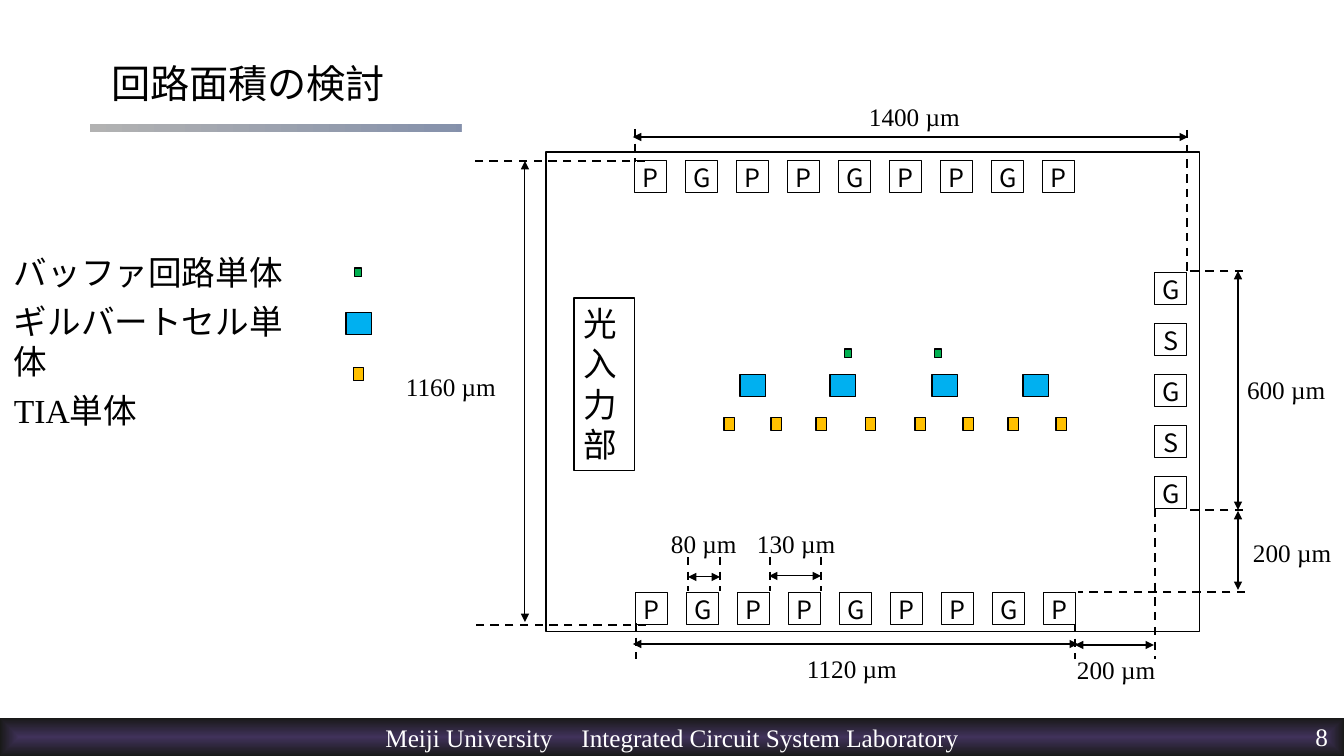
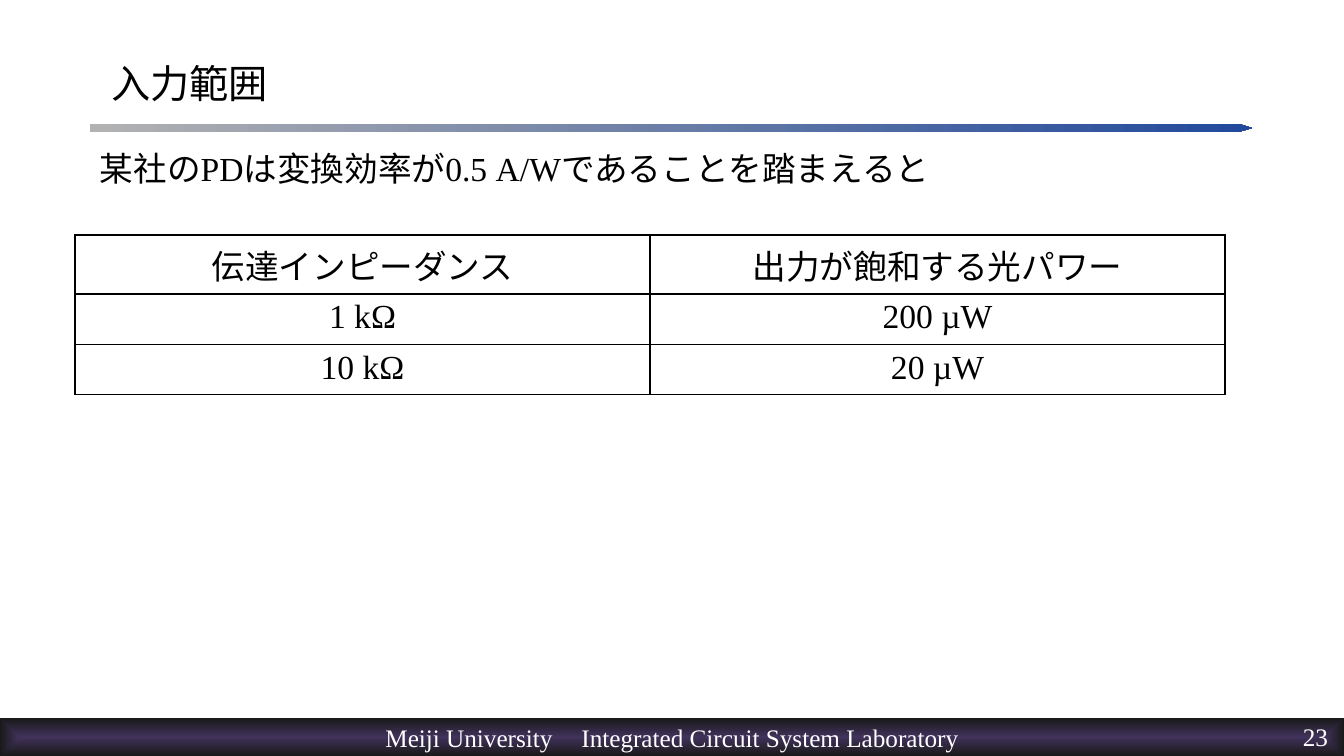
from lxml import etree
from pptx import Presentation
from pptx.dml.color import RGBColor
from pptx.enum.dml import MSO_LINE
from pptx.enum.shapes import MSO_CONNECTOR, MSO_SHAPE
from pptx.enum.text import MSO_ANCHOR, MSO_AUTO_SIZE, PP_ALIGN
from pptx.oxml.ns import qn
from pptx.util import Pt

RECT, PENTAGON = MSO_SHAPE.RECTANGLE, MSO_SHAPE.PENTAGON
STRAIGHT, DASH = MSO_CONNECTOR.STRAIGHT, MSO_LINE.DASH
LEFT, CENTER, RIGHT = PP_ALIGN.LEFT, PP_ALIGN.CENTER, PP_ALIGN.RIGHT
TOP, MIDDLE = MSO_ANCHOR.TOP, MSO_ANCHOR.MIDDLE
NO_FIT = MSO_AUTO_SIZE.NONE

PX = 12192000 // 1344
W, H = 1344, 756
THEME = {
    "black": "000000", "white": "FFFFFF",
    "rule": ("B2B2B2", "21499C"), "band": ("40325A", "191919"),
    "buffer": "00B050", "gilbert": "00B0F0", "tia": "FFC000",
    "latin": "Times New Roman", "cjk": "Noto Sans CJK JP",
    "title": 28, "body": 24, "label": 18,
    "thin": 0.75, "guide": 1.5, "border": 1,
}
NO_MARGIN = {f"margin_{side}": 0 for side in ("left", "top", "right", "bottom")}


def write(tf, lines, size, color="black", font="latin", align=LEFT, gap=0, **frame):
    for name, value in frame.items():
        setattr(tf, name, value)
    for i, line in enumerate(lines):
        p = tf.paragraphs[0] if i == 0 else tf.add_paragraph()
        p.alignment = align
        if i and gap:
            p.space_before = Pt(gap)
        r = p.add_run()
        r.text = line
        for name, value in {"size": Pt(THEME[size]), "name": THEME[font], "bold": False}.items():
            setattr(r.font, name, value)
        r.font.color.rgb = RGBColor.from_string(THEME[color])
        etree.SubElement(r.font._element, qn("a:ea"), typeface=THEME["cjk"])


def box(s, x, y, w, h, fill=None, line="black", kind=RECT):
    sp = s.shapes.add_shape(kind, x * PX, y * PX, w * PX, h * PX)
    sp.shadow.inherit = False
    if fill is None:
        sp.fill.background()
    elif isinstance(THEME[fill], tuple):
        sp.fill.gradient()
        sp.fill.gradient_angle = 0
        for stop, color in zip(sp.fill.gradient_stops, THEME[fill]):
            stop.color.rgb = RGBColor.from_string(color)
    else:
        sp.fill.solid()
        sp.fill.fore_color.rgb = RGBColor.from_string(THEME[fill])
    if line is None:
        sp.line.fill.background()
    else:
        sp.line.color.rgb = RGBColor.from_string(THEME[line])
        sp.line.width = Pt(THEME["thin"])
    return sp


prs = Presentation()
prs.slide_width, prs.slide_height = W * PX, H * PX
slides = []

for title, number in (("回路面積の検討", "8"), ("入力範囲", "23")):
    s = prs.slides.add_slide(prs.slide_layouts[5])
    slides.append(s)
    rule = box(s, 90, 124, 1162, 8, "rule", None, PENTAGON)
    rule.adjustments[0] = 1.69

    band = box(s, 0, 718, W, 38, "band", None)
    lin = band._element.spPr.find(".//" + qn("a:lin"))
    path = etree.Element(qn("a:path"), {"path": "shape"})
    etree.SubElement(path, qn("a:fillToRect"), l="50000", t="50000", r="50000", b="50000")
    lin.getparent().replace(lin, path)
    tabs = etree.SubElement(band.text_frame.paragraphs[0]._p.get_or_add_pPr(), qn("a:tabLst"))
    for i in range(8):
        etree.SubElement(tabs, qn("a:tab"), pos=str(i * 49 * PX), algn="l")
    write(band.text_frame, ["Meiji University\tIntegrated Circuit System Laboratory"], "label",
          "white", align=CENTER, word_wrap=False, vertical_anchor=MIDDLE)

    sp = s.shapes.add_textbox(983 * PX, 721 * PX, 345 * PX, 32 * PX)
    write(sp.text_frame, [number], "label", "white", align=RIGHT, word_wrap=True, **NO_MARGIN)

    sp = s.shapes.title
    for name, value in {"left": 101, "top": 29, "width": 1139, "height": 107}.items():
        setattr(sp, name, value * PX)
    write(sp.text_frame, [title], "title", word_wrap=True, vertical_anchor=MIDDLE, auto_size=NO_FIT)

area, power = slides

box(area, 462, 4, 880, 282, "white", None)
box(area, 546, 152, 654, 480)

sp = box(area, 574, 298, 61, 173)
write(sp.text_frame, ["光入力部"], "body", word_wrap=True, vertical_anchor=TOP)

PITCH, PAD = 51, 32
pads = [(x + i * PITCH, y, name) for x, y in ((635, 161), (636, 593))
        for i, name in enumerate("PGPPGPPGP")]
pads += [(1155, 273 + i * PITCH, name) for i, name in enumerate("GSGSG")]
for x, y, name in pads:
    sp = box(area, x, y, PAD, PAD)
    write(sp.text_frame, [name], "label", font="cjk", align=CENTER,
          word_wrap=False, vertical_anchor=MIDDLE, **NO_MARGIN)

guides = [
    (635, 129, 635, 162), (1187, 130, 1187, 273),
    (645, 161, 475, 161), (646, 625, 476, 625),
    (1243, 271, 1187, 271), (1243, 510, 1187, 510), (1245, 592, 1078, 592),
    (636, 623, 636, 659), (1075, 624, 1075, 659), (1155, 509, 1155, 659),
] + [(x, 557, x, 591) for x in (688, 720, 770, 821)]
dimensions = [
    (633, 137, 1188, 137), (525, 622, 525, 161),
    (1238, 510, 1238, 271), (1238, 590, 1238, 511),
    (688, 577, 720, 577), (769, 576, 821, 576),
    (633, 644, 1078, 644), (1075, 645, 1154, 645),
]
for ends, width, arrows in ([(g, "guide", False) for g in guides]
                            + [(d, "thin", True) for d in dimensions]):
    c = area.shapes.add_connector(STRAIGHT, *(v * PX for v in ends))
    c.line.color.rgb = RGBColor.from_string(THEME["black"])
    c.line.width = Pt(THEME[width])
    if arrows:
        for tag in ("a:headEnd", "a:tailEnd"):
            etree.SubElement(c.line._get_or_add_ln(), qn(tag), type="triangle")
    else:
        c.line.dash_style = DASH
    etree.SubElement(c._element.spPr, qn("a:effectLst"))

for text, x, y in (
    ("1400 µm", 869, 101), ("1160 µm", 406, 371), ("600 µm", 1247, 374),
    ("200 µm", 1253, 537), ("80 µm", 671, 528), ("130 µm", 757, 528),
    ("1120 µm", 807, 653), ("200 µm", 1077, 654),
):
    sp = area.shapes.add_textbox(x * PX, y * PX, 14 * len(text) * PX, 30 * PX)
    write(sp.text_frame, [text], "label", word_wrap=True, **NO_MARGIN)

sp = area.shapes.add_textbox(4 * PX, 247 * PX, 318 * PX, 173 * PX)
write(sp.text_frame, ["バッファ回路単体", "ギルバートセル単体", "TIA単体"], "body", gap=6, word_wrap=True)

for fill, w, h, legend, y, xs in (
    ("buffer", 7, 9, (355, 268), 349, (845, 935)),
    ("gilbert", 26, 22, (346, 313), 375, (740, 830, 932, 1023)),
    ("tia", 11, 13, (353, 368), 418, (724, 771, 816, 865, 915, 963, 1008, 1056)),
):
    for left, top in [legend] + [(x, y) for x in xs]:
        box(area, left, top, w, h, fill)

sp = power.shapes.add_textbox(90 * PX, 143 * PX, 1150 * PX, 60 * PX)
write(sp.text_frame, ["某社のPDは変換効率が0.5 A/Wであることを踏まえると"], "body", word_wrap=True)

rows = [
    ("伝達インピーダンス", "出力が飽和する光パワー"),
    ("1 kΩ", "200 µW"),
    ("10 kΩ", "20 µW"),
]
heights = (59, 47, 47)
table = power.shapes.add_table(3, 2, 75 * PX, 235 * PX, 1150 * PX, sum(heights) * PX).table
table.first_row = table.horz_banding = False
for column in table.columns:
    column.width = 575 * PX
for row, height, texts in zip(table.rows, heights, rows):
    row.height = height * PX
    for cell, text in zip(row.cells, texts):
        write(cell.text_frame, [text], "body", align=CENTER)
        tcPr = cell._tc.get_or_add_tcPr()
        for side in ("a:lnL", "a:lnR", "a:lnT", "a:lnB"):
            ln = etree.SubElement(tcPr, qn(side), w=str(Pt(THEME["border"])))
            solid = etree.SubElement(ln, qn("a:solidFill"))
            etree.SubElement(solid, qn("a:srgbClr"), val=THEME["black"])
        cell.fill.background()

prs.save("out.pptx")
